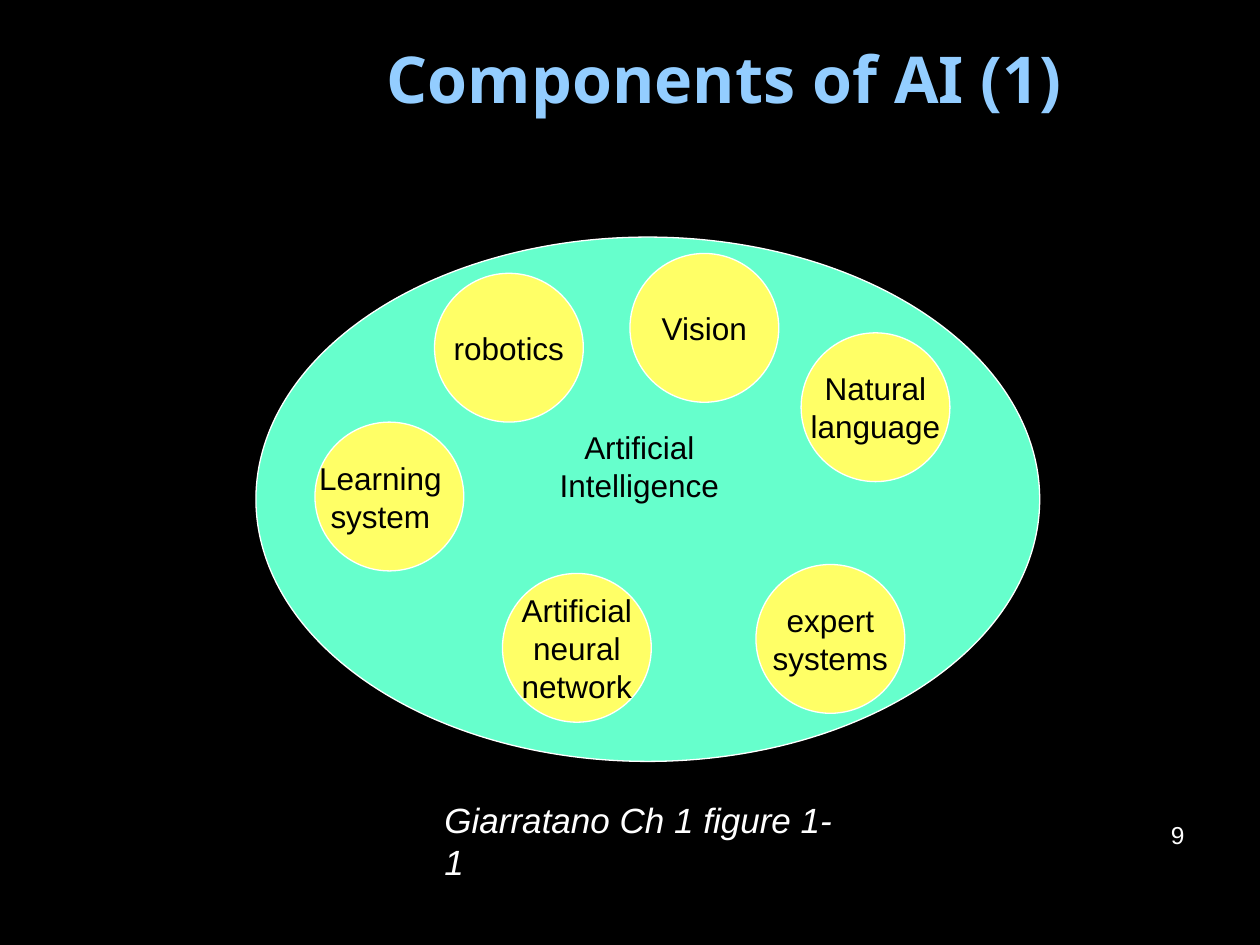
from dataclasses import dataclass

from pptx import Presentation, util as u
from pptx.dml.color import RGBColor
from pptx.enum import shapes, text


@dataclass(frozen=True)
class Box:
    left: float
    top: float
    width: float
    height: float

    def lengths(self) -> list[u.Length]:
        return [u.Cm(n) for n in (self.left, self.top, self.width, self.height)]


@dataclass(frozen=True)
class Label:
    lines: tuple[str, ...]
    size: float = 18
    color: str = "000000"
    font: str = "Arial"
    align: text.PP_ALIGN = text.PP_ALIGN.CENTER
    bold: bool = False
    italic: bool = False
    wrap: bool = False
    anchor: text.MSO_ANCHOR = text.MSO_ANCHOR.TOP


@dataclass(frozen=True)
class Field:
    left: float
    top: float
    lines: tuple[str, ...]


DIAMETER = 3
FIELDS = (
    Field(8.76, 5.51, ("robotics",)),
    Field(6.35, 8.51, ("Learning", "system")),
    Field(10.13, 11.56, ("Artificial", "neural", "network")),
    Field(12.7, 5.11, ("Vision",)),
    Field(16.15, 6.71, ("Natural", "language")),
    Field(15.24, 11.38, ("expert", "systems")),
)


def paint(color_format, color: str) -> None:
    color_format.rgb = RGBColor.from_string(color)


def write(frame, label: Label) -> None:
    frame.auto_size = text.MSO_AUTO_SIZE.NONE
    frame.word_wrap = label.wrap
    frame.vertical_anchor = label.anchor
    frame.text = "\n".join(label.lines)
    for paragraph in frame.paragraphs:
        paragraph.alignment = label.align
        font = paragraph.font
        font.name, font.size = label.font, u.Pt(label.size)
        font.bold, font.italic = label.bold, label.italic
        paint(font.color, label.color)


def add_label(slide, box: Box, label: Label) -> None:
    write(slide.shapes.add_textbox(*box.lengths()).text_frame, label)


def add_ellipse(slide, box: Box, color: str):
    ellipse = slide.shapes.add_shape(shapes.MSO_SHAPE.OVAL, *box.lengths())
    ellipse.shadow.inherit = False
    ellipse.fill.solid()
    paint(ellipse.fill.fore_color, color)
    paint(ellipse.line.color, "FFFFFF")
    ellipse.line.width = u.Pt(0.75)
    return ellipse


def add_field(slide, field: Field) -> None:
    circle = add_ellipse(slide, Box(field.left, field.top, DIAMETER, DIAMETER), "FFFF66")
    write(circle.text_frame, Label(field.lines, anchor=text.MSO_ANCHOR.MIDDLE))
    if field.lines[0] == "Learning":
        properties = circle.text_frame.paragraphs[0]._p.get_or_add_pPr()
        properties.set("marR", str(u.Cm(0.36)))


def main() -> None:
    deck = Presentation()
    deck.slide_width, deck.slide_height = u.Cm(25.4), u.Cm(19.05)
    slide = deck.slides.add_slide(deck.slide_layouts[5])
    slide.background.fill.solid()
    paint(slide.background.fill.fore_color, "000000")

    title = slide.shapes.title
    title.left, title.top, title.width, title.height = Box(3.81, 0.84, 21.59, 1.47).lengths()
    write(title.text_frame, Label(("Components of AI (1)",), 36.9, "93CDFF", "Noto Sans",
                                  bold=True, wrap=True, anchor=text.MSO_ANCHOR.MIDDLE))

    add_label(slide, Box(18.21, 16.41, 5.92, 1.32),
              Label(("9",), 14, "FFFFFF", align=text.PP_ALIGN.RIGHT, wrap=True))
    add_ellipse(slide, Box(5.16, 4.78, 15.8, 10.57), "66FFCC")
    add_label(slide, Box(10.49, 8.51, 4.8, 2.29), Label(("Artificial", "Intelligence")))
    for field in FIELDS:
        add_field(slide, field)
    add_label(slide, Box(8.71, 15.98, 8.6, 1.09),
              Label(("Giarratano Ch 1 figure 1-1",), 20, "FFFFFF",
                    align=text.PP_ALIGN.LEFT, italic=True, wrap=True))
    deck.save("out.pptx")


if __name__ == "__main__":
    main()
